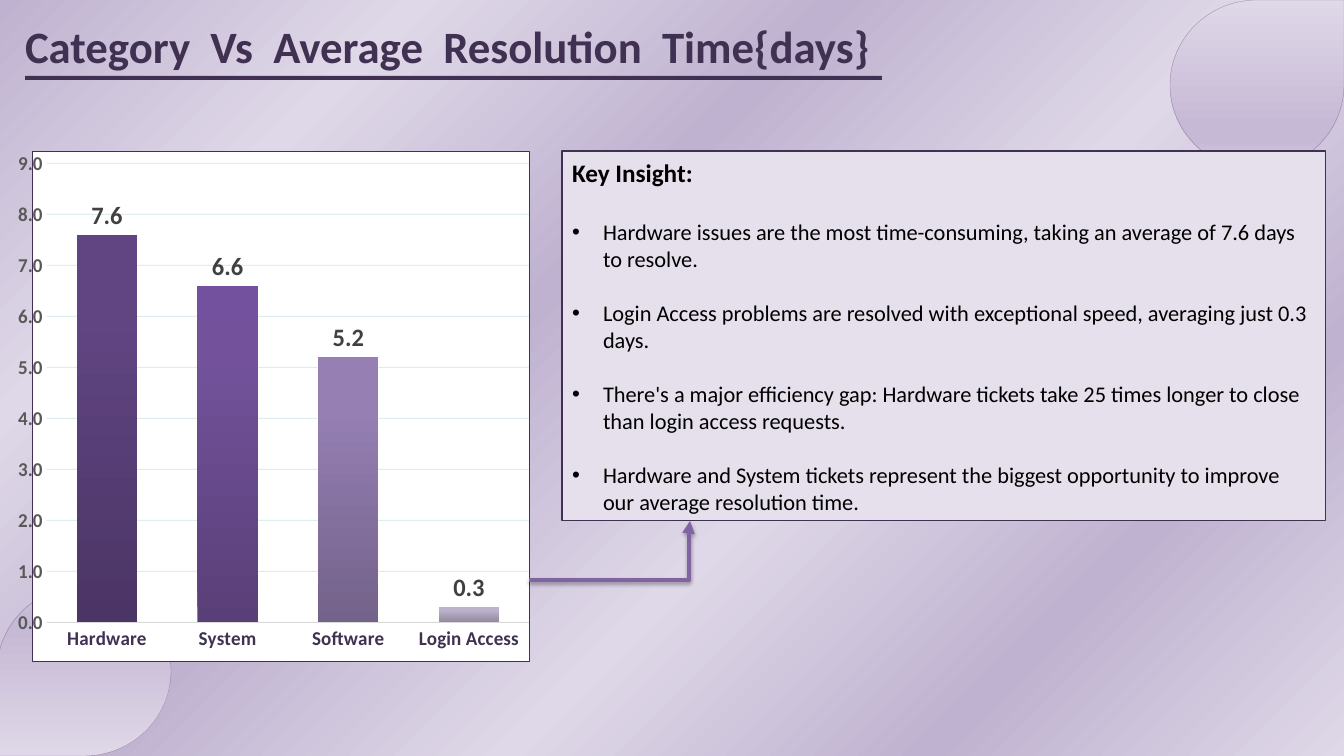
import copy
import lxml.etree
import pptx
import pptx.chart.data
import pptx.dml.color
import pptx.enum.chart
import pptx.enum.shapes
import pptx.enum.text
import pptx.oxml
import pptx.oxml.ns
import pptx.util

EMU_PER_PX = 914400 / 100.8
FONT = "Calibri"
INK = "403152"
PALE, MAUVE = "DFD8E8", "BFB2D0"
BACKDROP = [(at, color) for at, color in zip(range(0, 101, 20), [MAUVE, PALE] * 3)]
TEARDROP = [(0, PALE), (74, "C6B9D5"), (83, "C6B9D5"), (100, "D9D0E3")]
RESOLUTION_DAYS = {"Hardware": 7.6, "System": 6.6, "Software": 5.2, "Login Access": 0.3}
BAR_COLORS = [
    ("4B3565", "614583", "624485"),
    ("593F78", "73529B", "74519E"),
    ("73628A", "957FB3", "957EB5"),
    ("91899D", "BCB2CC", "BDB2CE"),
]
INSIGHTS = [
    "Hardware issues are the most time-consuming, taking an average of 7.6 days to resolve.",
    "Login Access problems are resolved with exceptional speed, averaging just 0.3 days.",
    "There's a major efficiency gap: Hardware tickets take 25 times longer to close than login access requests.",
    "Hardware and System tickets represent the biggest opportunity to improve our average resolution time.",
]


def px(length):
    return pptx.util.Emu(round(length * EMU_PER_PX))


def rgb(color):
    return pptx.dml.color.RGBColor.from_string(color)


def qn(tag):
    return pptx.oxml.ns.qn(tag)


def add_xml(parent, tag, **attributes):
    return lxml.etree.SubElement(parent, qn(tag), attributes)


def fill_solid(fill, color):
    fill.solid()
    fill.fore_color.rgb = rgb(color)


def fill_gradient(fill, stops, angle):
    fill.gradient()
    fill.gradient_angle = 360 - angle
    first = fill.gradient_stops[0]._gs
    for _ in stops[2:]:
        first.addnext(copy.deepcopy(first))
    for stop, (position, color) in zip(fill.gradient_stops, stops):
        stop.position = position / 100
        stop.color.rgb = rgb(color)


def draw_line(line, color, width, opacity=100):
    fill_solid(line.fill, color)
    line.width = pptx.util.Pt(width)
    if opacity < 100:
        srgb = line._get_or_add_ln().find(".//" + qn("a:srgbClr"))
        add_xml(srgb, "a:alpha", val=str(opacity * 1000))


def format_font(font, size, color, bold=False):
    font.name = FONT
    font.size = pptx.util.Pt(size)
    font.bold = bold
    font.color.rgb = rgb(color)


def write_text(paragraph, text, size, color, bold=False, before=0, bullet=None, indent=0):
    paragraph.text = text
    properties = paragraph._p.get_or_add_pPr()
    properties.set("marL", str(px(indent)))
    properties.set("indent", str(px(-indent)))
    if bullet:
        add_xml(properties, "a:buChar", char=bullet)
    else:
        add_xml(properties, "a:buNone")
    paragraph.alignment = pptx.enum.text.PP_ALIGN.LEFT
    paragraph.space_before = pptx.util.Pt(before)
    format_font(paragraph.font, size, color, bold)


def place(shape, left, top, width, height):
    shape.left, shape.top = px(left), px(top)
    shape.width, shape.height = px(width), px(height)


def set_frame(frame, left, top, right, bottom, anchor):
    frame.margin_left, frame.margin_top = px(left), px(top)
    frame.margin_right, frame.margin_bottom = px(right), px(bottom)
    frame.vertical_anchor = anchor
    frame.auto_size = pptx.enum.text.MSO_AUTO_SIZE.NONE
    frame.word_wrap = True


def add_preset(slide, kind, left, top, width, height):
    shape = slide.shapes.add_shape(kind, px(left), px(top), px(width), px(height))
    shape.shadow.inherit = False
    return shape


def add_teardrop(slide, left, top, rotation):
    teardrop = add_preset(slide, pptx.enum.shapes.MSO_SHAPE.TEAR, left, top, 174, 170)
    teardrop.rotation = rotation
    fill_gradient(teardrop.fill, TEARDROP, 90)
    draw_line(teardrop.line, "604A7B", 0.25, 50)
    slide.shapes._spTree.insert(2, teardrop._element)


def add_title(slide):
    title = slide.shapes.title
    place(title, 25, 17, 991, 55)
    set_frame(title.text_frame, 0, 2, 0, 0, pptx.enum.text.MSO_ANCHOR.TOP)
    write_text(title.text_frame.paragraphs[0], "Category  Vs  Average  Resolution  Time{days}",
               size=32, color=INK, bold=True)
    underline = add_preset(slide, pptx.enum.shapes.MSO_SHAPE.RECTANGLE, 25, 76, 857, 4)
    fill_solid(underline.fill, INK)
    underline.line.fill.background()


def add_insights(slide):
    panel = slide.placeholders[1]
    place(panel, 562, 151, 764, 370)
    fill_solid(panel.fill, "E6E0EC")
    draw_line(panel.line, INK, 0.75)
    frame = panel.text_frame
    set_frame(frame, 10, 5, 10, 5, pptx.enum.text.MSO_ANCHOR.MIDDLE)
    write_text(frame.paragraphs[0], "Key Insight:", size=18, color="000000", bold=True)
    for index, insight in enumerate(INSIGHTS):
        write_text(frame.add_paragraph(), insight, size=16, color="000000",
                   before=19.5 if index else 22, bullet="•", indent=31)


def frame_chart(chart):
    area = chart._chartSpace.find(qn("c:chart"))
    border = pptx.oxml.parse_xml(
        f'<c:spPr {pptx.oxml.ns.nsdecls("c", "a")}>'
        '<a:solidFill><a:srgbClr val="FFFFFF"/></a:solidFill>'
        f'<a:ln w="12700"><a:solidFill><a:srgbClr val="{INK}"/></a:solidFill></a:ln></c:spPr>')
    area.addnext(border)
    plot_area = area.find(qn("c:plotArea"))
    for layout in plot_area.findall(qn("c:layout")):
        plot_area.remove(layout)
    layout = lxml.etree.Element(qn("c:layout"))
    plot_area.insert(0, layout)
    manual = add_xml(layout, "c:manualLayout")
    settings = dict(layoutTarget="inner", xMode="edge", yMode="edge",
                    x="0.028", y="0.023", w="0.972", h="0.901")
    for name, value in settings.items():
        add_xml(manual, "c:" + name, val=value)


def format_axis(axis, color):
    axis.major_tick_mark = axis.minor_tick_mark = pptx.enum.chart.XL_TICK_MARK.NONE
    format_font(axis.tick_labels.font, 14, color, True)


def add_resolution_chart(slide):
    data = pptx.chart.data.CategoryChartData(number_format="0.0")
    data.categories = list(RESOLUTION_DAYS)
    data.add_series("Series 1", list(RESOLUTION_DAYS.values()))
    chart = slide.shapes.add_chart(pptx.enum.chart.XL_CHART_TYPE.COLUMN_CLUSTERED,
                                   px(18), px(151), px(512), px(511), data).chart
    chart.has_title = chart.has_legend = False
    format_font(chart.font, 10, "000000")
    frame_chart(chart)

    format_axis(chart.category_axis, INK)
    draw_line(chart.category_axis.format.line, "D9D9D9", 1)
    days = chart.value_axis
    format_axis(days, "595959")
    days.minimum_scale, days.maximum_scale, days.major_unit = 0, 9, 1
    days.format.line.fill.background()
    draw_line(days.major_gridlines.format.line, "31859C", 0.75, 15)
    days.tick_labels.number_format = "0.0"
    days.tick_labels.number_format_is_linked = False

    plot = chart.plots[0]
    plot.gap_width, plot.overlap = 100, -24
    plot.vary_by_categories = False
    for index, colors in enumerate(BAR_COLORS):
        bar = plot.series[0].points[index]
        fill_gradient(bar.format.fill, list(zip((0, 80, 100), colors)), 270)
    labels = plot.series[0].data_labels
    labels.show_value = True
    labels.position = pptx.enum.chart.XL_LABEL_POSITION.OUTSIDE_END
    labels.number_format, labels.number_format_is_linked = "0.0", False
    format_font(labels.font, 18, "404040", True)


def add_insight_arrow(slide):
    arrow = slide.shapes.add_connector(pptx.enum.shapes.MSO_CONNECTOR.ELBOW,
                                       px(529), px(580), px(690), px(521))
    draw_line(arrow.line, "8064A2", 3)
    properties = arrow._element.spPr
    add_xml(properties.find(qn("a:ln")), "a:tailEnd", type="triangle")
    bend = properties.find(qn("a:prstGeom")).get_or_add_avLst()
    add_xml(bend, "a:gd", name="adj1", fmla="val 99200")
    shadow = add_xml(add_xml(properties, "a:effectLst"), "a:outerShdw",
                     blurRad="40000", dist="23000", dir="5400000", rotWithShape="0")
    add_xml(add_xml(shadow, "a:srgbClr", val="000000"), "a:alpha", val="35000")


def main():
    deck = pptx.Presentation()
    deck.slide_width, deck.slide_height = px(1344), px(756)
    slide = deck.slides.add_slide(deck.slide_layouts[1])
    fill_gradient(slide.background.fill, BACKDROP, 45)
    add_teardrop(slide, 1170, 0, 0)
    add_teardrop(slide, -3, 586, 180)
    add_title(slide)
    add_resolution_chart(slide)
    add_insights(slide)
    add_insight_arrow(slide)
    deck.save("out.pptx")


if __name__ == "__main__":
    main()
